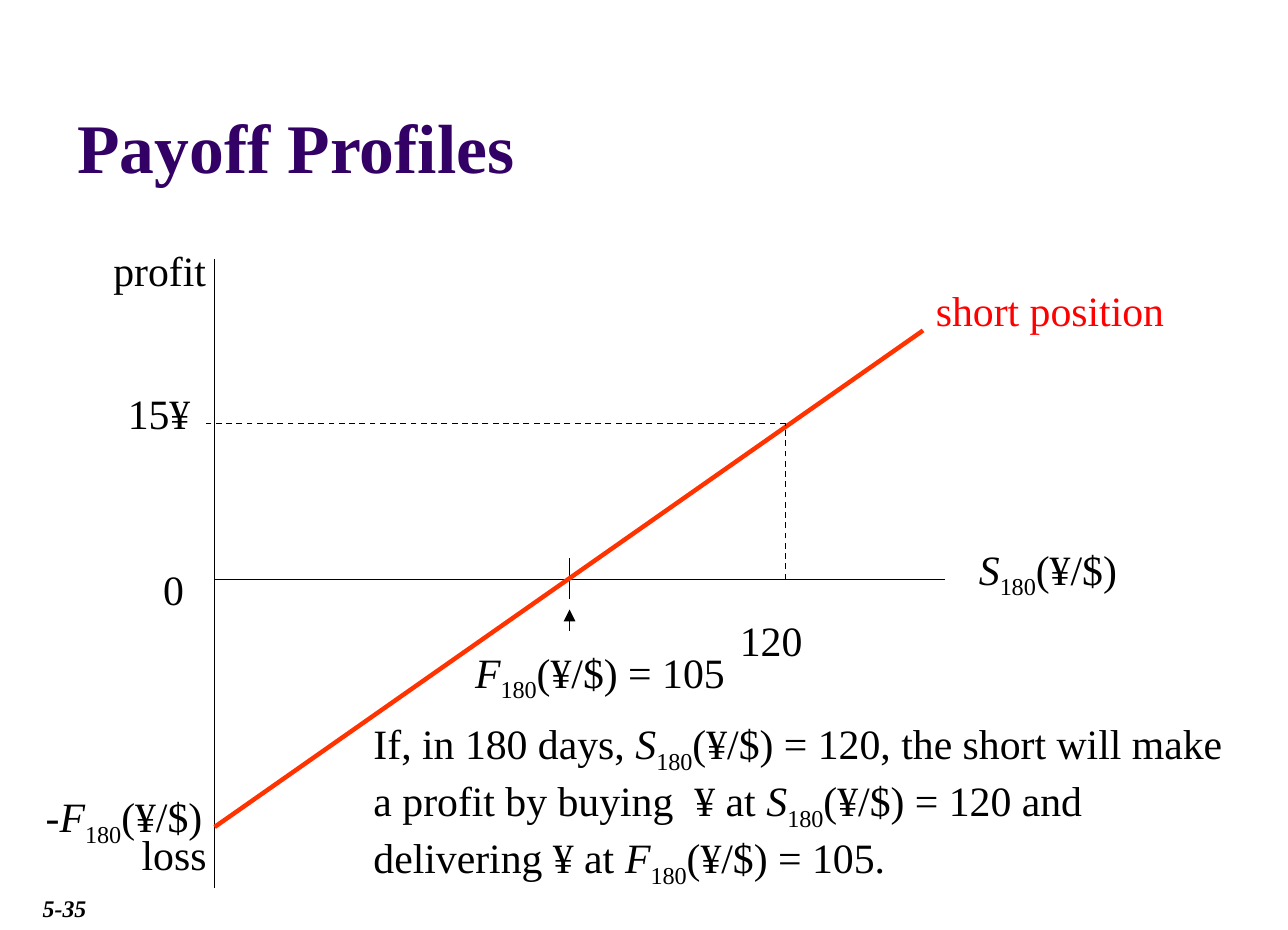
from itertools import cycle
from lxml.etree import SubElement
from pptx import Presentation
from pptx.dml.color import RGBColor
from pptx.enum.dml import MSO_LINE
from pptx.enum.shapes import MSO_CONNECTOR
from pptx.enum.text import MSO_ANCHOR, PP_ALIGN
from pptx.oxml.ns import qn
from pptx.util import Inches, Pt

FONT = "Times New Roman"
COLORS = {"ink": "000000", "title": "330066", "payoff": "FF3300", "short": "FF0000"}

# Chart geometry, in inches
LEFT, ZERO = 1.5, 4.05
FWD, SPOT, GAIN = 3.98, 5.49, 2.96

# Lines: start, end, colour, width, style
LINES = [
    ((LEFT, 1.81), (LEFT, 6.21), "ink", 0.75, ""),
    ((LEFT, ZERO), (6.6, ZERO), "ink", 0.75, ""),
    ((FWD, 3.9), (FWD, 4.19), "ink", 0.75, ""),
    ((LEFT, 5.78), (6.45, 2.31), "payoff", 2.25, ""),
    ((FWD, 4.41), (FWD, 4.26), "ink", 0.75, "arrow"),
    ((SPOT, ZERO), (SPOT, GAIN), "ink", 0.75, "dash"),
    ((SPOT, GAIN), (1.42, GAIN), "ink", 0.75, "dash"),
]

# Labels: text, box, colour, alignment
# Bars cut the text into plain, italic and subscript pieces, in turn
L, R = PP_ALIGN.LEFT, PP_ALIGN.RIGHT
LABELS = [
    ("profit", (0.33, 1.67, 1.2, 0.44), "ink", R),
    ("loss", (0.9, 5.75, 1.13, 0.44), "ink", L),
    ("0", (1.05, 3.9, 0.37, 0.44), "ink", L),
    ("15¥", (0.6, 2.67, 0.82, 0.44), "ink", R),
    ("120", (5.08, 4.26, 0.82, 0.44), "ink", L),
    ("short position", (6.45, 1.95, 2.03, 0.44), "short", L),
    ("|S|180|(¥/$)", (6.75, 3.76, 1.95, 0.49), "ink", L),
    ("|F|180|(¥/$) = 105", (3.23, 4.48, 2.77, 0.49), "ink", L),
    ("|-F|180|(¥/$)", (0.23, 5.49, 2.77, 0.49), "ink", L),
    ("If, in 180 days, |S|180|(¥/$) = 120, the short will make a profit "
     "by buying  ¥ at |S|180|(¥/$) = 120 and delivering ¥ at "
     "|F|180|(¥/$) = 105.", (2.52, 4.98, 6.23, 1.28), "ink", L),
]


def color(name):
    return RGBColor.from_string(COLORS[name])


def place(shape, box):
    shape.left, shape.top, shape.width, shape.height = map(Inches, box)


def inset(frame, side=0.09, edge=0.04):
    frame.margin_left = frame.margin_right = Inches(side)
    frame.margin_top = frame.margin_bottom = Inches(edge)


def style(para, size, name, bold=False):
    font = para.font
    font.name, font.size, font.bold = FONT, Pt(size), bold
    font.color.rgb = color(name)


def add_line(start, end, name, width, kind):
    ends = map(Inches, start + end)
    line = slide.shapes.add_connector(MSO_CONNECTOR.STRAIGHT, *ends)
    line.line.color.rgb = color(name)
    line.line.width = Pt(width)
    if kind == "dash":
        line.line.dash_style = MSO_LINE.DASH
    if kind == "arrow":
        SubElement(line.line._get_or_add_ln(), qn("a:tailEnd"), type="triangle")
    SubElement(line._element.spPr, qn("a:effectLst"))


def add_label(text, box, name, align, size=21):
    frame = slide.shapes.add_textbox(*map(Inches, box)).text_frame
    frame.word_wrap = True
    inset(frame)
    para = frame.paragraphs[0]
    para.alignment = align
    style(para, size, name)
    for part, kind in zip(text.split("|"), cycle(("plain", "italic", "sub"))):
        if not part:
            continue
        run = para.add_run()
        run.text = part
        if kind == "italic":
            run.font.italic = True
        if kind == "sub":
            run.font._element.set("baseline", "-25000")
    return frame


deck = Presentation()
deck.slide_width, deck.slide_height = Inches(9), Inches(6.5)
slide = deck.slides.add_slide(deck.slide_layouts[5])

# Title
title = slide.shapes.title
place(title, (0.45, 0.12, 8.1, 1.23))
title.text_frame.text = "Payoff Profiles"
title.text_frame.vertical_anchor = MSO_ANCHOR.BOTTOM
inset(title.text_frame)
head = title.text_frame.paragraphs[0]
head.alignment = L
style(head, 35, "title", bold=True)

# Payoff diagram
for item in LINES:
    add_line(*item)
for item in LABELS:
    add_label(*item)

# Page number
page = add_label("5-35", (0.2, 6.2, 0.58, 0.3), "ink", L, size=12)
inset(page, 0.1, 0.05)
page.paragraphs[0].font.bold = page.paragraphs[0].font.italic = True

deck.save("out.pptx")
